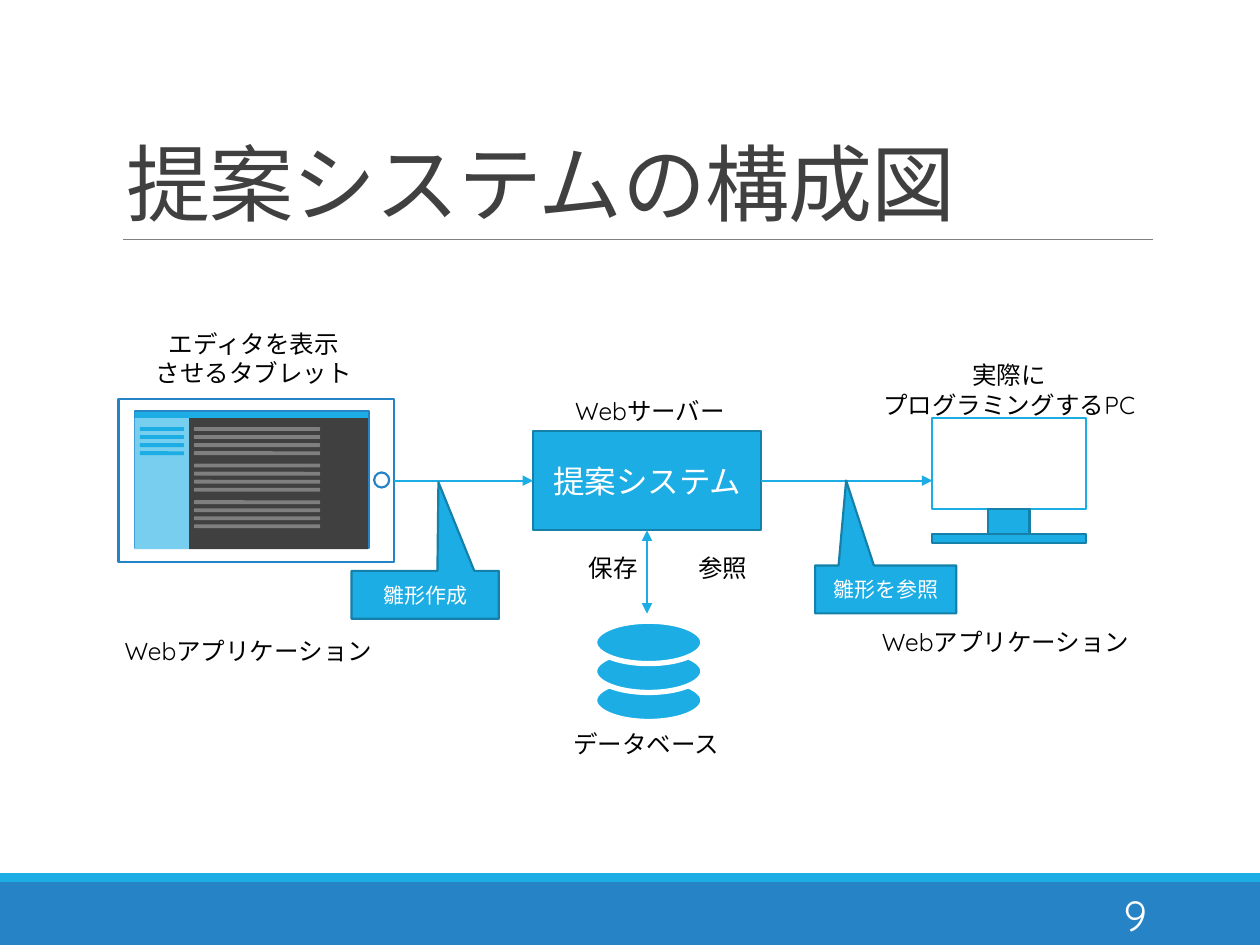
"""Build the slide that shows the structure of the proposed system."""
from dataclasses import dataclass
from typing import Optional

from lxml.etree import SubElement
from pptx import Presentation
from pptx.dml.color import RGBColor
from pptx.enum.shapes import MSO_CONNECTOR, MSO_SHAPE
from pptx.enum.text import MSO_ANCHOR, PP_ALIGN
from pptx.oxml.ns import qn
from pptx.util import Pt

FONT = "Quicksand"
HUES = {
    "sky": "1CADE4", "blue": "2683C6", "edge": "1580A9", "pale": "77CEEF",
    "dark": "404040", "gray": "808080", "bar": "BFBFBF",
    "white": "FFFFFF", "black": "000000",
}


@dataclass
class Box:
    """A preset shape with optional fill, outline and text."""
    left: float
    top: float
    width: float
    height: float
    fill: Optional[str] = "sky"
    line: Optional[str] = None
    weight: float = 1.25
    kind: MSO_SHAPE = MSO_SHAPE.RECTANGLE
    text: str = ""
    size: float = 12
    tip: tuple = ()
    alpha: int = 100


@dataclass
class Label:
    """A free text box."""
    left: float
    top: float
    width: float
    height: float
    text: str
    align: PP_ALIGN = PP_ALIGN.CENTER
    wrap: bool = True
    size: float = 14
    color: str = "black"
    anchor: MSO_ANCHOR = MSO_ANCHOR.TOP


def hue(name: str) -> RGBColor:
    """Look up a colour."""
    return RGBColor.from_string(HUES[name])


def style(frame, size: float, color: str, align: PP_ALIGN) -> None:
    """Format all text of a frame."""
    for para in frame.paragraphs:
        para.alignment = align
        for run in para.runs:
            run.font.name = FONT
            run.font.size = Pt(size)
            run.font.color.rgb = hue(color)


def draw_box(slide, box: Box):
    """Draw one preset shape."""
    shape = slide.shapes.add_shape(
        box.kind, Pt(box.left), Pt(box.top), Pt(box.width), Pt(box.height))
    shape.shadow.inherit = False
    if box.fill:
        shape.fill.solid()
        shape.fill.fore_color.rgb = hue(box.fill)
    else:
        shape.fill.background()
    if box.alpha < 100:
        tint = shape.fill._xPr.find(qn("a:solidFill"))[0]
        SubElement(tint, qn("a:alpha"), val=str(box.alpha * 1000))
    if box.line:
        shape.line.color.rgb = hue(box.line)
        shape.line.width = Pt(box.weight)
    else:
        shape.line.fill.background()
    for spot, value in enumerate(box.tip):
        shape.adjustments[spot] = value
    if box.text:
        shape.text_frame.text = box.text
        shape.text_frame.vertical_anchor = MSO_ANCHOR.MIDDLE
        style(shape.text_frame, box.size, "white", PP_ALIGN.CENTER)
    return shape


def draw_label(slide, label: Label):
    """Draw one text box."""
    shape = slide.shapes.add_textbox(
        Pt(label.left), Pt(label.top), Pt(label.width), Pt(label.height))
    frame = shape.text_frame
    frame.word_wrap = label.wrap
    frame.vertical_anchor = label.anchor
    frame.text = label.text
    style(frame, label.size, label.color, label.align)
    return shape


def draw_line(slide, start: tuple, end: tuple, color: str = "sky",
              weight: float = 1, heads: tuple = ()):
    """Draw a straight line with arrowheads at the named ends."""
    line = slide.shapes.add_connector(
        MSO_CONNECTOR.STRAIGHT, *(Pt(v) for v in start + end))
    line.line.color.rgb = hue(color)
    line.line.width = Pt(weight)
    for head in heads:
        SubElement(line.line._ln, qn("a:" + head), type="triangle")
    SubElement(line._element.spPr, qn("a:effectLst"))
    return line


def draw_bars(slide, left: float, top: float, width: float,
              fill: str, alpha: int = 100) -> None:
    """Draw four lines of code as thin bars."""
    for row in range(4):
        draw_box(slide, Box(left, top + row * 4.6, width, 2.16, fill,
                            kind=MSO_SHAPE.ROUNDED_RECTANGLE, alpha=alpha))


def draw_frame(slide) -> None:
    """Draw the footer bands, title, rule and page number."""
    draw_box(slide, Box(0, 504, 720, 36, "blue"))
    draw_box(slide, Box(0, 499, 720, 5))
    draw_line(slide, (70.5, 136.8), (659, 136.8), "gray", 0.5)
    title = slide.shapes.title
    title.left, title.top, title.width, title.height = map(
        Pt, (64.8, 22.3, 594, 114.5))
    frame = title.text_frame
    frame.text = "提案システムの構成図"
    frame.vertical_anchor = MSO_ANCHOR.BOTTOM
    para = frame.paragraphs[0]
    para.line_spacing = 0.85
    style(frame, 48, "dark", PP_ALIGN.LEFT)
    para.runs[0].font._element.set("spc", "-50")
    draw_label(slide, Label(584.6, 508.3, 77.8, 28.8, "9", PP_ALIGN.RIGHT,
                            size=24, color="white", anchor=MSO_ANCHOR.MIDDLE))


def draw_tablet(slide):
    """Draw the tablet with its editor and return its body."""
    body = draw_box(slide, Box(67.7, 228.2, 157.7, 92.9, "white", "blue"))
    draw_box(slide, Box(77, 234.7, 133.9, 78.5, None, "blue"))
    draw_box(slide, Box(77, 235.4, 133.2, 3.6))
    draw_box(slide, Box(213.8, 270, 8.6, 8.6, "white", "blue",
                        kind=MSO_SHAPE.OVAL))
    draw_box(slide, Box(108, 239, 102.2, 74.9, "dark"))
    draw_box(slide, Box(77, 239, 31, 74.9, "pale"))
    draw_bars(slide, 79.9, 244.1, 25.2, "sky")
    for block in range(3):
        draw_bars(slide, 110.9, 244.1 + block * 20.9, 72, "bar", 50)
    return body


def draw_store(slide) -> None:
    """Draw the database as three stacked disks."""
    for top in (388.1, 371.5, 355):
        draw_box(slide, Box(339.8, top, 61.9, 24.2, "sky", "white", 3,
                            MSO_SHAPE.OVAL))


def main() -> None:
    """Build and save the slide."""
    deck = Presentation()
    deck.slide_width, deck.slide_height = Pt(720), Pt(540)
    slide = deck.slides.add_slide(deck.slide_layouts[5])
    draw_frame(slide)
    server = draw_box(slide, Box(304.6, 246.2, 130.3, 56.9, "sky", "edge",
                                 text="提案システム", size=18))
    tablet = draw_tablet(slide)
    draw_store(slide)
    for box in (Box(532.8, 239, 87.8, 51.9, "white", "sky"),
                Box(564.5, 290.9, 23.8, 14.4, "sky", "edge"),
                Box(532.8, 305.3, 87.8, 5, "sky", "edge")):
        draw_box(slide, box)

    link = draw_line(slide, (225.4, 274.7), (304.6, 274.7), heads=("tailEnd",))
    link.begin_connect(tablet, 3)
    link.end_connect(server, 1)
    link = draw_line(slide, (434.9, 274.7), (532.8, 274.65), heads=("tailEnd",))
    link.begin_connect(server, 3)
    link = draw_line(slide, (369.75, 350.6), (369.75, 303.1),
                     heads=("headEnd", "tailEnd"))
    link.end_connect(server, 2)

    call = MSO_SHAPE.RECTANGULAR_CALLOUT
    draw_box(slide, Box(465.8, 323.1, 80.6, 27.4, "sky", "edge", kind=call,
                        text="雛形を参照", tip=(-0.28, -2.27)))
    draw_box(slide, Box(200.9, 326.2, 84.2, 27.4, "sky", "edge", kind=call,
                        text="雛形作成", tip=(0.09, -2.35)))

    app = "Webアプリケーション"
    for label in (
            Label(314.6, 413.3, 109.4, 24.5, "データベース"),
            Label(64.8, 184.3, 160.6, 41, "エディタを表示\vさせるタブレット"),
            Label(307.4, 222.5, 128.2, 24.5, "Webサーバー"),
            Label(494.6, 202.3, 164.2, 41, "実際に\vプログラミングするPC",
                  wrap=False),
            Label(64.1, 360, 159.8, 24.5, app, PP_ALIGN.LEFT, False),
            Label(496.8, 355, 159.8, 24.5, app, PP_ALIGN.LEFT, False)):
        draw_label(slide, label)
    access = draw_label(slide, Label(304.6, 312.5, 130.3, 24.5, "保存\t参照",
                                     PP_ALIGN.LEFT))
    props = access.text_frame.paragraphs[0]._p.get_or_add_pPr()
    props.set("marL", str(Pt(24.8)))
    tabs = SubElement(props, qn("a:tabLst"))
    SubElement(tabs, qn("a:tab"), pos=str(Pt(62.5)), algn="l")
    deck.save("out.pptx")


if __name__ == "__main__":
    main()
